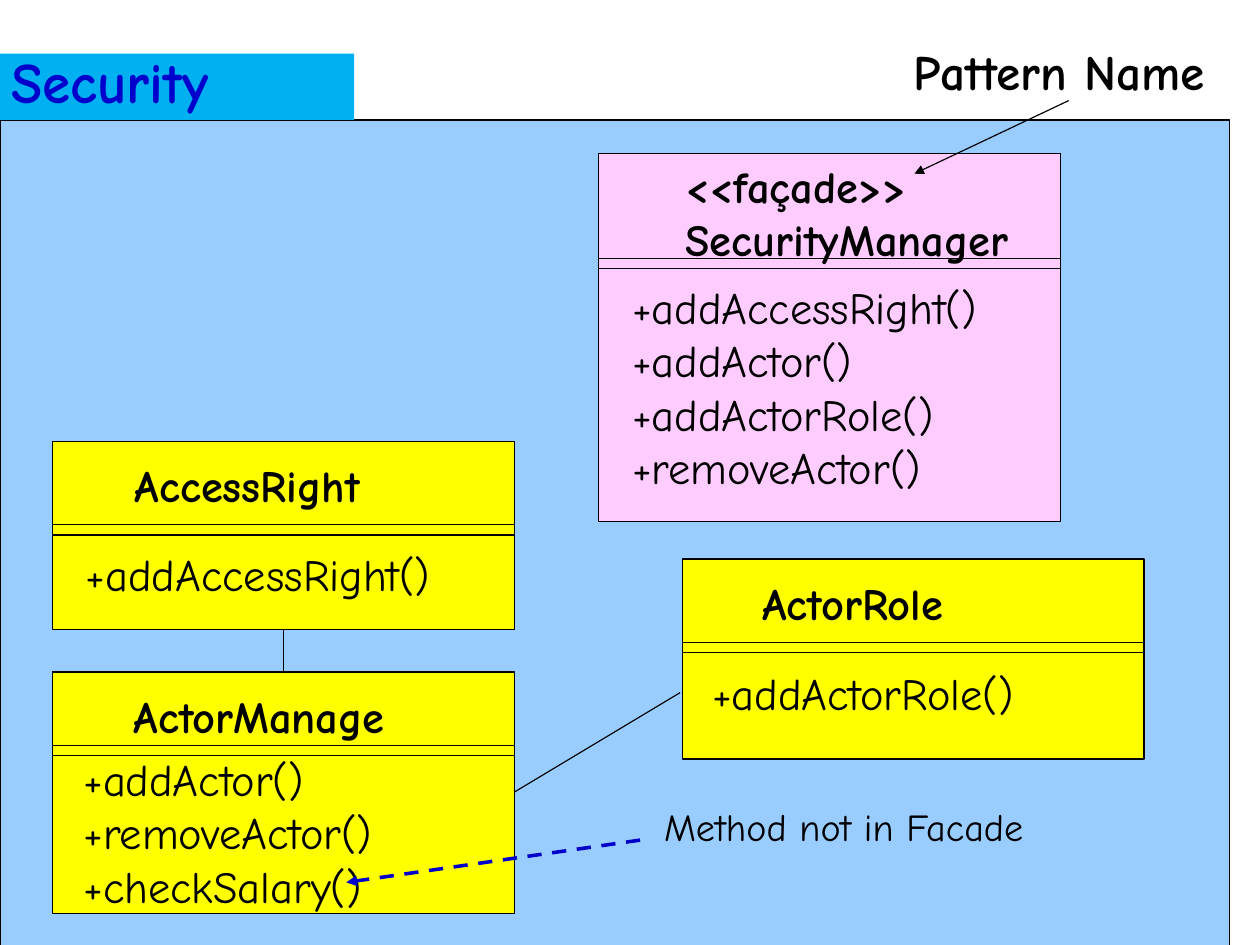
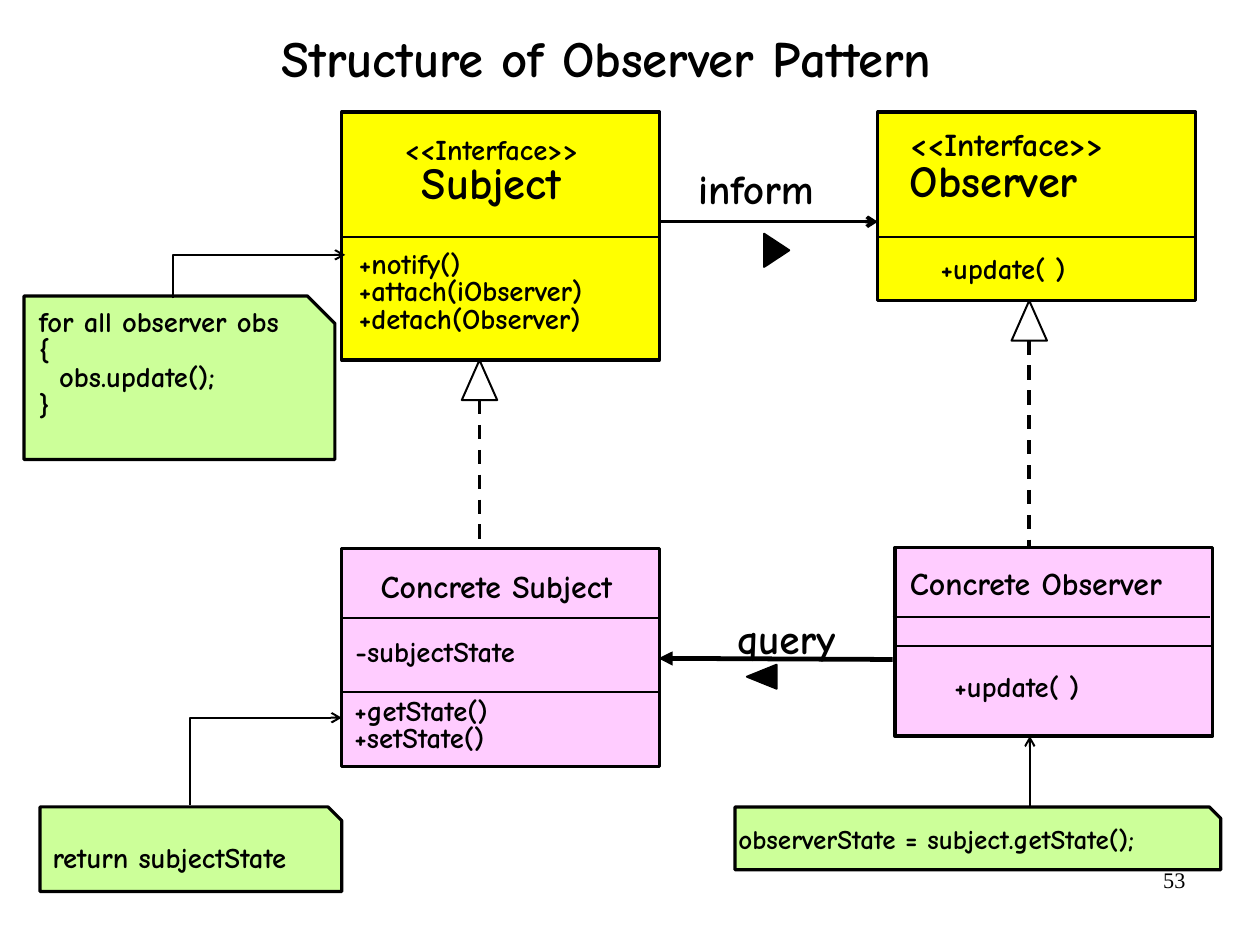
from lxml import etree
from pptx import Presentation
from pptx.dml.color import RGBColor
from pptx.enum.dml import MSO_LINE
from pptx.enum.shapes import MSO_CONNECTOR, MSO_SHAPE
from pptx.enum.text import MSO_ANCHOR, PP_ALIGN
from pptx.oxml.ns import qn
from pptx.util import Inches, Pt

PAGE_W, PAGE_H = Inches(28 / 2.54), Inches(21 / 2.54)  # 28 by 21 cm
BLACK = RGBColor(0, 0, 0)
BLUE = RGBColor(0, 0, 0xCC)
SKY = RGBColor(0x99, 0xCC, 0xFF)
CYAN = RGBColor(0, 0xB0, 0xF0)
YELLOW = RGBColor(0xFF, 0xFF, 0)
PINK = RGBColor(0xFF, 0xCC, 0xFF)
GREEN = RGBColor(0xCC, 0xFF, 0x99)
RECT, TRI = MSO_SHAPE.RECTANGLE, MSO_SHAPE.ISOSCELES_TRIANGLE
LINE, ELBOW = MSO_CONNECTOR.STRAIGHT, MSO_CONNECTOR.ELBOW
LEFT, MID, RIGHT = PP_ALIGN.LEFT, PP_ALIGN.CENTER, PP_ALIGN.RIGHT
DASH, TOP = MSO_LINE.DASH, MSO_ANCHOR.TOP
FONT, SERIF = "Comic Neue", "Times New Roman"
THIN, FINE, EDGE, BOLD, WIDE = 0.75, 1.25, 2, 2.25, 3

# Slide 1: box, fill, first divider, name place and lines, method place and lines
CARD_W, RULE_GAP = 4.04, 0.09
CARDS = [
    ((5.97, 4.89, 1.75), YELLOW, 5.62, (6.56, 4.98), ["ActorRole"],
     (6.12, 5.77), ["+addActorRole()"]),
    ((0.46, 5.88, 2.11), YELLOW, 6.52, (1.06, 5.97), ["ActorManage"],
     (0.62, 6.52), ["+addActor()", "+removeActor()", "+checkSalary()"]),
    ((0.46, 3.86, 1.65), YELLOW, 4.59, (1.07, 3.95), ["AccessRight"],
     (0.64, 4.73), ["+addAccessRight()"]),
    ((5.24, 1.34, 3.22), PINK, 2.26, (5.89, 1.33),
     ["<<façade>>", "SecurityManager"], (5.42, 2.39),
     ["+addAccessRight()", "+addActor()", "+addActorRole()",
      "+removeActor()"]),
]
LINKS = [
    ((5.6, 7.35), (3.03, 7.72), dict(color=BLUE, width=BOLD, dash=True,
                                     tail="triangle")),
    ((9.35, 0.88), (8, 1.52), dict(tail="triangle")),
    ((2.48, 5.88), (2.48, 5.51), {}),
    ((4.5, 6.93), (5.95, 6.06), {}),
]

# Slide 2: box, fill, then (left, top) of each divider
BOX_W = 2.78
BOXES = [
    ((2.99, 0.98, 2.17), YELLOW, [(2.99, 2.07)]),
    ((2.99, 4.8, 1.91), PINK, [(2.99, 5.41), (2.99, 6.05)]),
    ((7.68, 0.98, 1.65), YELLOW, [(7.68, 2.07)]),
    ((7.83, 4.79, 1.65), PINK, [(7.81, 5.4), (7.83, 5.65)]),
]
NOTES = [  # left, top, width, height, cut corner
    (0.21, 2.59, 2.72, 1.43, 0.24),
    (0.35, 7.06, 2.64, 0.74, 0.12),
    (6.43, 7.06, 4.25, 0.55, 0.1),
]
HEADS = [(4.04, 3.15, 4.8), (8.85, 2.63, 4.79)]  # left, top, end of dashes
BENDS = [((1.51, 2.61), (3.02, 2.23)), ((1.66, 7.04), (2.99, 6.28))]
ARROWS = [
    ((5.76, 1.94), (7.68, 1.94), dict(width=BOLD, tail="arrow")),
    ((5.76, 5.76), (7.81, 5.77), dict(width=WIDE, head="triangle")),
    ((9.01, 7.06), (9.01, 6.44), dict(width=FINE, tail="arrow")),
]
MARKS = [((6.56, 5.79, 0.21, 0.26), 270), ((6.65, 2.08, 0.29, 0.22), 90)]
TIGHT = dict(space=0.8)
TEXTS = [
    ((0.35, 0.28, 9.92, 0.54), ["Structure of Observer Pattern"], 32,
     dict(align=MID, **TIGHT)),
    ((3, 1.15, 2.6, 0.72), ["<<Interface>>", ("Subject", 28)], 18,
     dict(align=MID, **TIGHT)),
    ((3.03, 2.15, 2.78, 0.83),
     ["+notify()", "+attach(iObserver)", "+detach(Observer)"], 18, TIGHT),
    ((3.22, 4.96, 2.63, 0.38), ["Concrete Subject"], 20, TIGHT),
    ((3, 5.54, 2.08, 0.35), ["-subjectState"], 18, TIGHT),
    ((2.99, 6.06, 1.91, 0.59), ["+getState()", "+setState()"], 18, TIGHT),
    ((8.12, 2.19, 1.91, 0.35), ["+update( )"], 18, TIGHT),
    ((7.85, 1.1, 2.42, 0.75), ["<<Interface>>", ("Observer", 28)], 20, TIGHT),
    ((7.85, 4.94, 2.76, 0.38), ["Concrete Observer"], 20, TIGHT),
    ((8.24, 5.85, 1.91, 0.35), ["+update( )"], 18, TIGHT),
    ((0.23, 2.66, 2.87, 1.07),
     ["for all observer obs", "{", "  obs.update();", "}"], 18, TIGHT),
    ((0.35, 7.35, 2.66, 0.35), ["return subjectState"], 18, TIGHT),
    ((6.35, 7.19, 4.5, 0.34), ["observerState = subject.getState();"], 17,
     TIGHT),
    ((6.35, 5.32, 1.67, 0.54), ["query"], 26, dict(pad=(0.1, 0.05))),
    ((6.01, 1.38, 1.67, 0.54), ["inform"], 26, dict(pad=(0.1, 0.05))),
    ((7.9, 7.53, 2.57, 0.57), ["53"], 14,
     dict(bold=False, font=SERIF, align=RIGHT, pad=(0.1, 0.05))),
]


def paint(shape, fill=None, width=None):
    """Set fill and black outline; None leaves either one out."""
    shape.shadow.inherit = False
    if fill is None:
        shape.fill.background()
    else:
        shape.fill.solid()
        shape.fill.fore_color.rgb = fill
    if width is None:
        shape.line.fill.background()
    else:
        shape.line.color.rgb = BLACK
        shape.line.width = Pt(width)
    return shape


def block(slide, kind, at, fill=None, width=None):
    shape = slide.shapes.add_shape(kind, *map(Inches, at))
    return paint(shape, fill, width)


def write(shape, lines, size, bold=True, color=BLACK, font=FONT, align=LEFT,
          space=1.0, pad=(0.11, 0.06)):
    """Fill a shape with lines; a line is text or (text, own size)."""
    frame = shape.text_frame
    side, edge = map(Inches, pad)
    form = dict(word_wrap=True, vertical_anchor=TOP, margin_left=side,
                margin_right=side, margin_top=edge, margin_bottom=edge)
    for name, value in form.items():
        setattr(frame, name, value)
    for i, line in enumerate(lines):
        text, points = (line, size) if isinstance(line, str) else line
        para = frame.add_paragraph() if i else frame.paragraphs[0]
        para.alignment, para.line_spacing = align, space
        run = para.add_run()
        run.text = text
        for name, value in dict(name=font, size=Pt(points),
                                bold=bold).items():
            setattr(run.font, name, value)
        run.font.color.rgb = color


def label(slide, at, lines, size, **form):
    write(slide.shapes.add_textbox(*map(Inches, at)), lines, size, **form)


def link(slide, start, end, color=BLACK, width=THIN, dash=False, kind=LINE,
         head=None, tail=None):
    wire = slide.shapes.add_connector(kind, *map(Inches, start + end))
    wire.line.color.rgb = color
    wire.line.width = Pt(width)
    if dash:
        wire.line.dash_style = DASH
    props = wire._element.spPr
    for tag, shape in (("a:headEnd", head), ("a:tailEnd", tail)):
        if shape:
            etree.SubElement(props.find(qn("a:ln")), qn(tag), type=shape)
    etree.SubElement(props, qn("a:effectLst"))
    return wire


def bend(slide, start, end):
    """Arrow that goes straight up from start, then right to end."""
    (x1, y1), (x2, y2) = start, end
    x, y = (x1 + x2) / 2, (y1 + y2) / 2
    dx, dy = (y1 - y2) / 2, (x2 - x1) / 2
    wire = link(slide, (x + dx, y + dy), (x - dx, y - dy), width=FINE,
                kind=ELBOW, tail="arrow")
    props = wire._element.spPr
    props.find(qn("a:xfrm")).set("rot", "5400000")
    props.find(qn("a:prstGeom")).set("prst", "bentConnector2")


def note(slide, x, y, w, h, cut):
    """Sheet with its top right corner cut off."""
    points = [(x + w - cut, y), (x + w, y + cut), (x + w, y + h), (x, y + h)]
    path = slide.shapes.build_freeform(Inches(x), Inches(y))
    path.add_line_segments([tuple(map(Inches, p)) for p in points], close=True)
    paint(path.convert_to_shape(), GREEN, EDGE)


def facade(slide):
    block(slide, RECT, (0, 1.05, 10.76, 7.22), SKY, THIN)
    for (x, y, h), fill, rule, spot, name, place, calls in CARDS:
        block(slide, RECT, (x, y, CARD_W, h), fill, THIN)
        for top in (rule, rule + RULE_GAP):
            link(slide, (x, top), (x + CARD_W, top))
        for at, lines, bold in ((spot, name, True), (place, calls, False)):
            size = (3.6, 0.12 + 0.46 * len(lines))
            label(slide, at + size, lines, 28, bold=bold)
    label(slide, (5.7, 6.97, 3.8, 0.51), ["Method not in Facade"], 24,
          bold=False)
    label(slide, (7.88, 0.3, 3.1, 0.63), ["Pattern Name"], 31)
    tab = block(slide, RECT, (0, 0.47, 3.1, 0.58), CYAN)
    write(tab, ["Security"], 36, color=BLUE, space=0.8, pad=(0.1, 0.05))
    for start, end, form in LINKS:
        link(slide, start, end, **form)


def observer(slide):
    for (x, y, h), fill, rules in BOXES:
        block(slide, RECT, (x, y, BOX_W, h), fill, EDGE)
        for left, top in rules:
            link(slide, (left, top), (left + BOX_W, top), width=FINE)
    for x, y, end in HEADS:
        block(slide, TRI, (x, y, 0.31, 0.35), width=FINE)
        mid = x + 0.31 / 2
        link(slide, (mid, y + 0.35), (mid, end), width=BOLD, dash=True)
    for sheet in NOTES:
        note(slide, *sheet)
    for start, end in BENDS:
        bend(slide, start, end)
    for start, end, form in ARROWS:
        link(slide, start, end, **form)
    for at, turn in MARKS:
        block(slide, TRI, at, BLACK, FINE).rotation = turn
    for at, lines, size, form in TEXTS:
        label(slide, at, lines, size, **form)


def main():
    deck = Presentation()
    deck.slide_width, deck.slide_height = PAGE_W, PAGE_H
    for draw in (facade, observer):
        draw(deck.slides.add_slide(deck.slide_layouts[6]))
    deck.save("out.pptx")


if __name__ == "__main__":
    main()
